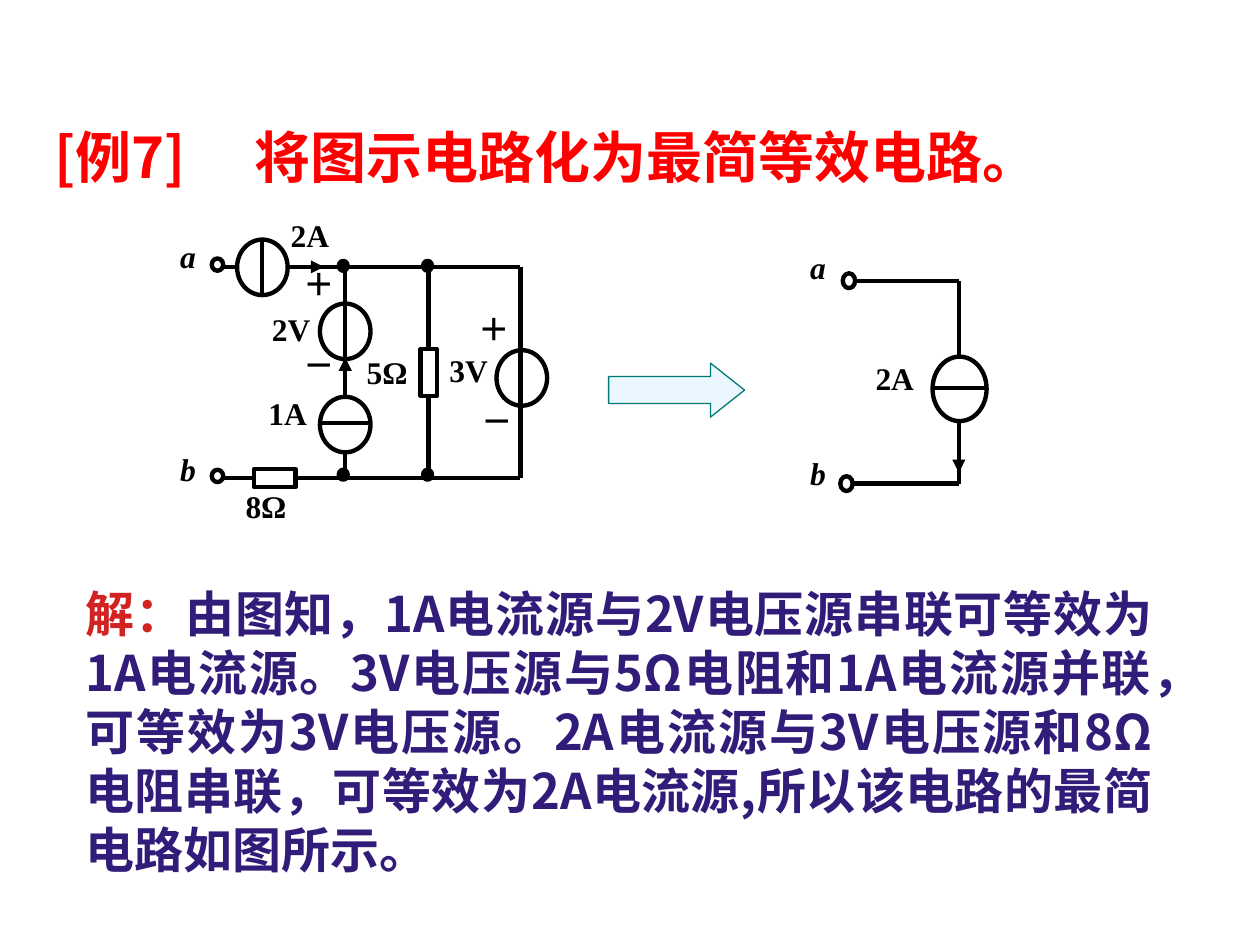
from typing import NamedTuple

from pptx import Presentation
from pptx.dml.color import RGBColor as Rgb
from pptx.enum.shapes import MSO_CONNECTOR as Link, MSO_SHAPE as Kind
from pptx.enum.text import MSO_ANCHOR as Anchor, MSO_AUTO_SIZE as Fit, PP_ALIGN as Align
from pptx.oxml.ns import qn
from pptx.util import Cm, Pt
from lxml.etree import SubElement as Sub

BLACK, WHITE, RED, BLUE = "000000", "FFFFFF", "FF0000", "311D79"
SANS, SERIF = "Noto Sans CJK SC", "Times New Roman"


class Wire(NamedTuple):
    x1: float
    y1: float
    x2: float
    y2: float
    head: bool = False


class Part(NamedTuple):
    x: float
    y: float
    w: float
    h: float
    kind: Kind = Kind.OVAL
    fill: str | None = WHITE
    line: str = BLACK
    width: float = 2.5


class Label(NamedTuple):
    text: str
    x: float
    y: float
    w: float = 1.52
    slant: bool = False


def tint(code: str) -> Rgb:
    return Rgb.from_string(code)


def style(run, code: str, **form) -> None:
    for key, val in form.items():
        setattr(run.font, key, val)
    run.font.color.rgb = tint(code)
    if run.font.name == SANS:
        Sub(run.font._element, qn("a:ea"), typeface=SANS)


def place(item, x: float, y: float, w: float, h: float) -> None:
    for key, val in dict(left=x, top=y, width=w, height=h).items():
        setattr(item, key, Cm(val))


def draw_wire(slide, wire: Wire) -> None:
    ends = [Cm(n) for n in wire[:4]]
    line = slide.shapes.add_connector(Link.STRAIGHT, *ends)
    line.line.width = Pt(2.5)
    line.line.color.rgb = tint(BLACK)
    if wire.head:
        Sub(line.line._get_or_add_ln(), qn("a:tailEnd"), type="triangle")
    Sub(line._element.spPr, qn("a:effectLst"))


def draw_part(slide, part: Part):
    box = [Cm(n) for n in part[:4]]
    shape = slide.shapes.add_shape(part.kind, *box)
    shape.shadow.inherit = False
    if part.fill:
        shape.fill.solid()
        shape.fill.fore_color.rgb = tint(part.fill)
    else:
        shape.fill.background()
    shape.line.color.rgb = tint(part.line)
    shape.line.width = Pt(part.width)
    return shape


def draw_label(slide, label: Label) -> None:
    box = slide.shapes.add_textbox(Cm(label.x), Cm(label.y), Cm(label.w), Cm(1.02))
    box.text_frame.word_wrap = True
    para = box.text_frame.paragraphs[0]
    para.alignment = Align.JUSTIFY
    run = para.add_run()
    run.text = label.text
    style(run, BLACK, name=SERIF, size=Pt(18), bold=True, italic=label.slant)


def fill_title(title) -> None:
    place(title, 0.84, 2.34, 21.82, 1.63)
    frame = title.text_frame
    frame.auto_size = Fit.NONE
    frame.vertical_anchor = Anchor.MIDDLE
    para = frame.paragraphs[0]
    para.alignment = Align.LEFT
    tabs = Sub(para._p.get_or_add_pPr(), qn("a:tabLst"))
    Sub(tabs, qn("a:tab"), pos=str(Cm(4.04)), algn="l")
    run = para.add_run()
    run.text = "[例7]\t将图示电路化为最简等效电路。"
    style(run, RED, name=SANS, size=Pt(32), bold=True)


def fill_body(body) -> None:
    place(body, 1.47, 11.63, 22.02, 6.2)
    frame = body.text_frame
    frame.auto_size = Fit.NONE
    frame.vertical_anchor = Anchor.TOP
    para = frame.paragraphs[0]
    for key, val in dict(
        alignment=Align.JUSTIFY, space_before=Pt(0), line_spacing=Pt(33.7)
    ).items():
        setattr(para, key, val)
    props = para._p.get_or_add_pPr()
    for key in ("marL", "indent"):
        props.set(key, "0")
    Sub(props, qn("a:buNone"))
    for text, code in (
        ("解：", "D22222"),
        (
            "由图知，1A电流源与2V电压源串联可等效为1A电流源。"
            "3V电压源与5Ω电阻和1A电流源并联，可等效为3V电压源。"
            "2A电流源与3V电压源和8Ω电阻串联，可等效为2A电流源,"
            "所以该电路的最简电路如图所示。",
            BLUE,
        ),
    ):
        run = para.add_run()
        run.text = text
        style(run, code, name=SANS, size=Pt(28), bold=True)


TOP, BASE = 5.38, 9.63
MID, SIDE, EDGE = 6.96, 8.64, 10.49
HIGH, LOW, END = 5.66, 9.75, 19.33

WIRES = [
    Wire(4.42, TOP, EDGE, TOP),
    Wire(4.45, BASE, EDGE, BASE),
    *[Wire(x, TOP, x, BASE) for x in (MID, SIDE, EDGE)],
    Wire(MID, 8.18, MID, 7.21, True),
    Wire(5.66, TOP, 6.53, TOP, True),
    *[Wire(17.17, y, END, y) for y in (HIGH, LOW)],
    Wire(END, HIGH, END, LOW),
    Wire(END, 8.41, END, 9.53, True),
]
PARTS = [
    Part(4.78, 4.83, 1.02, 1.12),
    Part(6.45, 6.12, 1.02, 1.12, fill=None),
    Part(6.45, 8, 1.02, 1.12),
    Part(10.01, 7.06, 1.02, 1.12, fill=None),
    Part(18.8, 7.19, 1.09, 1.3),
    Part(5.12, 9.46, 0.84, 0.36, Kind.RECTANGLE),
    Part(8.48, 7.04, 0.33, 0.94, Kind.RECTANGLE),
    *[Part(x, y, 0.18, 0.2, fill=BLACK) for x in (6.83, 8.53) for y in (5.26, 9.47)],
    *[Part(4.27, y, 0.23, 0.25) for y in (5.21, 9.47)],
    Part(16.99, 5.51, 0.25, 0.3),
    Part(16.94, 9.6, 0.25, 0.3),
]
BARS = [
    Wire(5.28, 4.83, 5.28, 5.92),
    Wire(6.45, 8.53, 7.47, 8.53),
    Wire(18.8, 7.82, 19.89, 7.82),
]
LABELS = [
    Label("a", 3.38, 4.65, 1.17, True),
    Label("b", 3.38, 8.94, 1.17, True),
    Label("2A", 5.61, 4.24),
    Label("2V", 5.23, 6.12),
    Label("1A", 5.16, 7.82),
    Label("8Ω", 4.7, 9.7, 1.68),
    Label("5Ω", 7.14, 6.99, 2.36),
    Label("3V", 8.81, 6.96, 1.75),
    Label("＋", 5.87, 5.21, 1.35),
    Label("－", 5.87, 6.86, 1.35),
    Label("＋", 9.4, 6.12, 1.35),
    Label("－", 9.45, 7.98, 1.35),
    Label("a", 16.08, 4.88, 1.27, True),
    Label("b", 16.08, 9.02, 1.27, True),
    Label("2A", 17.4, 7.11, 1.63),
]


def main() -> None:
    deck = Presentation()
    deck.slide_width, deck.slide_height = Cm(25.4), Cm(19.05)
    slide = deck.slides.add_slide(deck.slide_layouts[1])
    fill_title(slide.shapes.title)
    fill_body(slide.placeholders[1])
    for draw, items in (
        (draw_wire, WIRES),
        (draw_part, PARTS),
        (draw_wire, BARS),
        (draw_label, LABELS),
    ):
        for item in items:
            draw(slide, item)
    arrow = draw_part(
        slide, Part(12.27, 7.32, 2.74, 1.09, Kind.RIGHT_ARROW, "EBF7FF", "007A77", 0.75)
    )
    arrow.adjustments[0], arrow.adjustments[1] = 0.5, 0.63
    deck.save("out.pptx")


if __name__ == "__main__":
    main()
